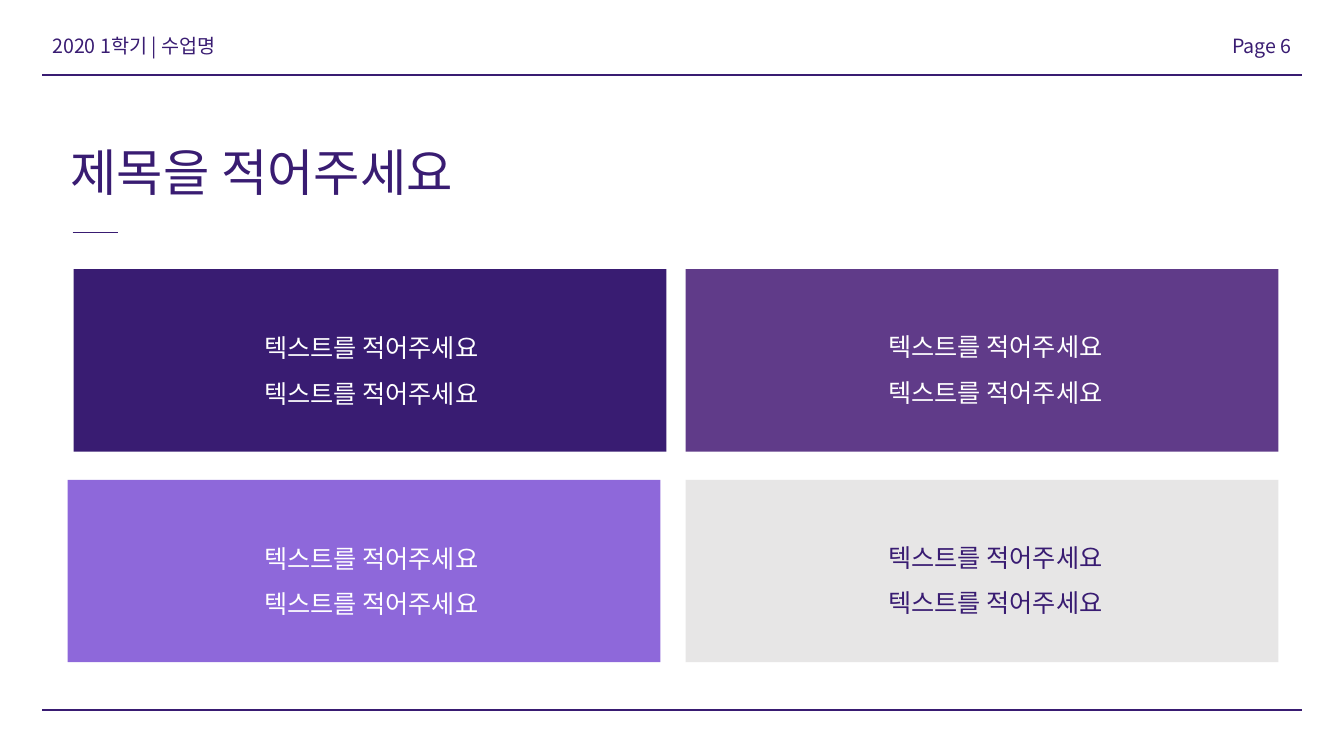
from pptx import Presentation
from pptx.dml.color import RGBColor
from pptx.enum.shapes import MSO_CONNECTOR as Link, MSO_SHAPE as Shape
from pptx.enum.text import MSO_ANCHOR as Anchor, MSO_AUTO_SIZE as Fit, PP_ALIGN as Align
from pptx.oxml.ns import qn
from pptx.util import Inches, Pt
from lxml.etree import SubElement

FONT = "Noto Sans CJK KR"
INK, PLUM, LILAC, GREY, WHITE = "391C72", "603B89", "8E68DA", "E7E6E6", "FFFFFF"


def color(code):
    return RGBColor.from_string(code)


class Page:
    """Draws styled elements on one slide."""

    def __init__(self, deck):
        self.slide = deck.slides.add_slide(deck.slide_layouts[5])
        self.shapes = self.slide.shapes

    def label(self, box, lines, size, ink=INK, align=Align.LEFT, space=1.0):
        """Fill a text shape with equally styled paragraphs."""
        frame = box.text_frame
        frame.text = "\n".join(lines)
        frame.word_wrap = True
        frame.auto_size = Fit.SHAPE_TO_FIT_TEXT
        frame.vertical_anchor = Anchor.TOP
        for para in frame.paragraphs:
            para.alignment = align
            para.line_spacing = space
            font = para.font
            font.size = Pt(size)
            font.name = FONT
            font.color.rgb = color(ink)
            # Hangul takes its typeface from the East Asian slot
            props = para._p.pPr.find(qn("a:defRPr"))
            SubElement(props, qn("a:ea")).set("typeface", FONT)

    def title(self, left, top, width, height, text):
        box = self.shapes.title
        box.left, box.top = Inches(left), Inches(top)
        box.width, box.height = Inches(width), Inches(height)
        self.label(box, [text], 36)

    def text(self, left, top, width, height, lines, size, **style):
        box = self.shapes.add_textbox(
            Inches(left), Inches(top), Inches(width), Inches(height))
        self.label(box, lines, size, **style)

    def block(self, left, top, width, height, fill):
        box = self.shapes.add_shape(
            Shape.RECTANGLE, Inches(left), Inches(top), Inches(width), Inches(height))
        box.shadow.inherit = False
        box.fill.solid()
        box.fill.fore_color.rgb = color(fill)
        box.line.fill.background()

    def rule(self, left, right, top, weight):
        line = self.shapes.add_connector(
            Link.STRAIGHT, Inches(left), Inches(top), Inches(right), Inches(top))
        line.line.color.rgb = color(INK)
        line.line.width = Pt(weight)
        SubElement(line._element.spPr, qn("a:effectLst"))


def main():
    deck = Presentation()
    deck.slide_width, deck.slide_height = Inches(13.33), Inches(7.5)
    page = Page(deck)

    for top in (0.74, 7.04):
        page.rule(0.42, 12.91, top, 1.5)
    page.text(0.42, 0.29, 4.2, 0.34, ["2020 1학기 | 수업명"], 14)
    page.text(8.71, 0.29, 4.2, 0.34, ["Page 6"], 14, align=Align.RIGHT)

    page.title(0.6, 1.35, 6.24, 0.71, "제목을 적어주세요")
    page.rule(0.72, 1.17, 2.31, 0.5)

    # block left, block top, text left, text inset, fill, ink
    cards = [
        (0.73, 2.67, 2.52, 0.43, INK, WHITE),
        (6.8, 2.67, 8.71, 0.42, PLUM, WHITE),
        (0.67, 4.76, 2.52, 0.43, LILAC, WHITE),
        (6.8, 4.76, 8.71, 0.42, GREY, INK),
    ]
    for left, top, start, inset, fill, ink in cards:
        page.block(left, top, 5.88, 1.81, fill)
        page.text(start, top + inset, 3.72, 0.97, ["텍스트를 적어주세요"] * 2, 18,
                  ink=ink, space=1.5)

    deck.save("out.pptx")


if __name__ == "__main__":
    main()
